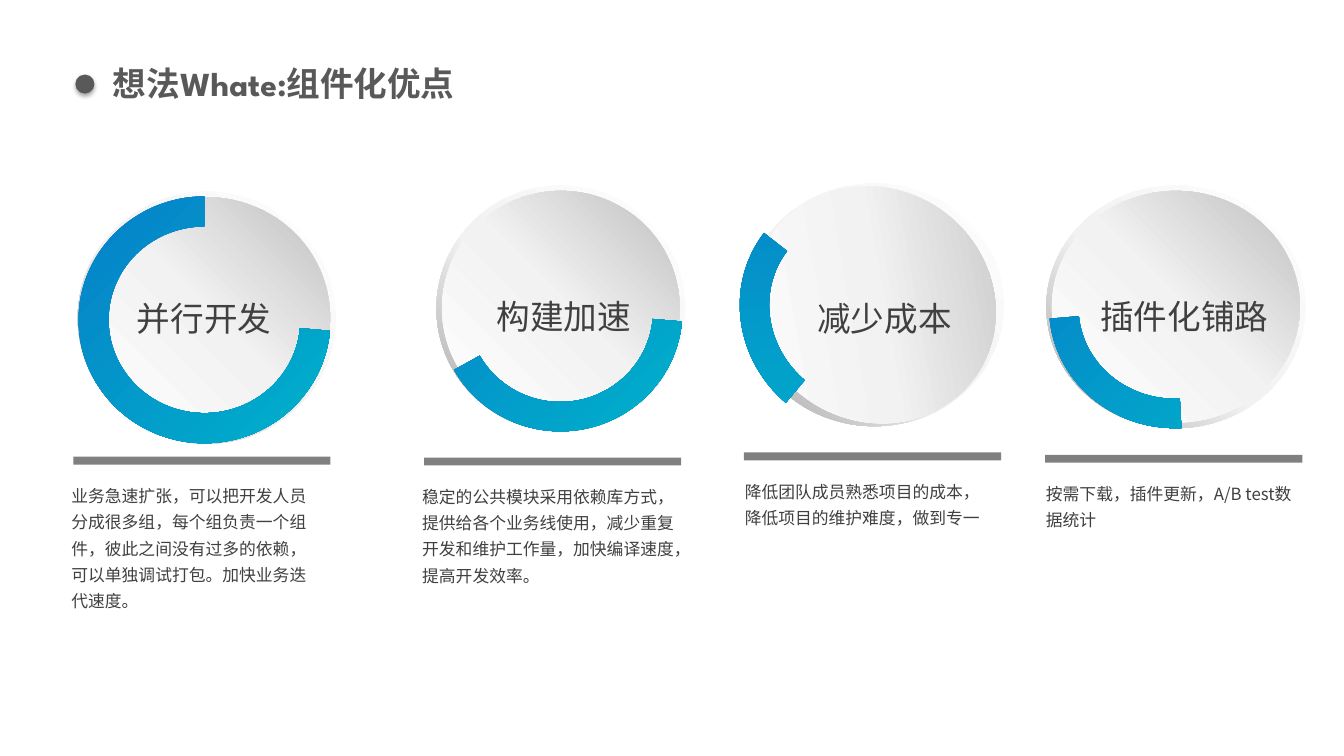
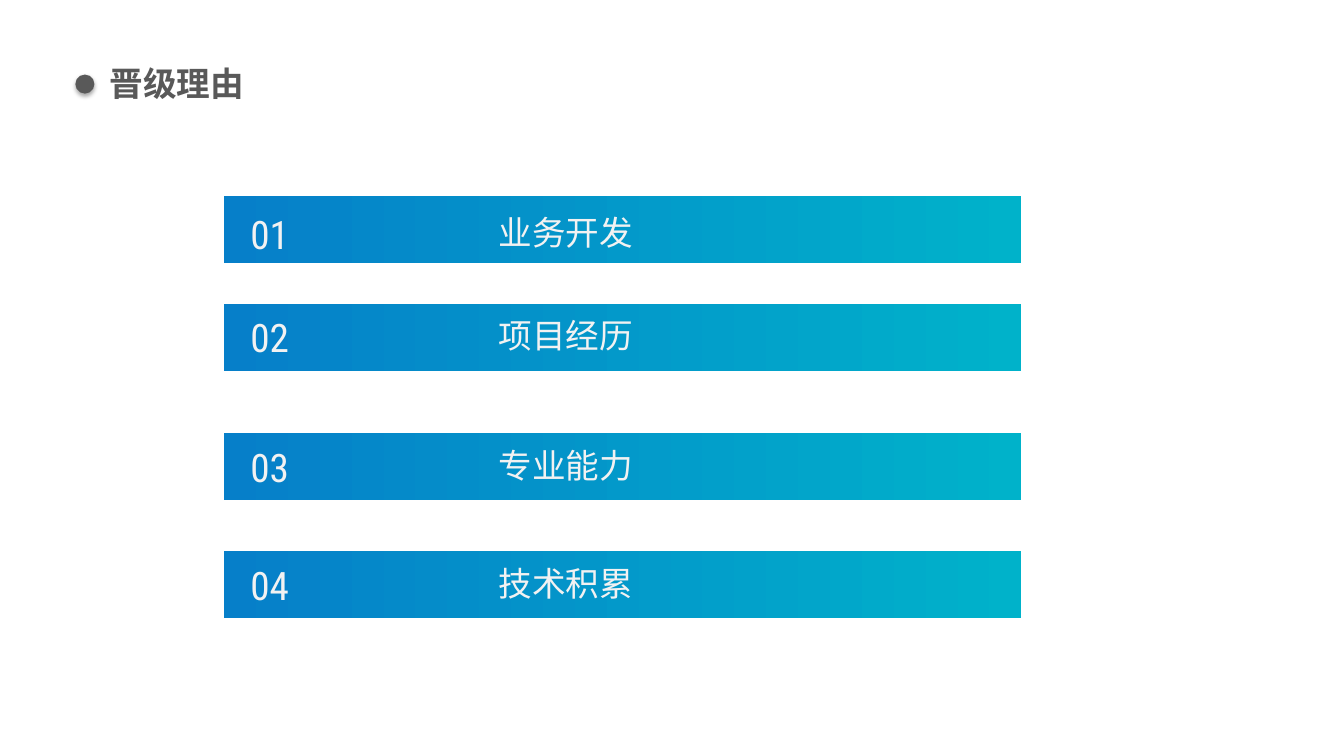
import copy

import pptx
import pptx.dml.color
import pptx.enum.shapes
import pptx.enum.text
import pptx.oxml
import pptx.oxml.ns
import pptx.util
from lxml import etree

Cm = pptx.util.Cm
Pt = pptx.util.Pt
PRESET = pptx.enum.shapes.MSO_SHAPE
ALIGN = pptx.enum.text.PP_ALIGN
qn = pptx.oxml.ns.qn

COLORS = {
    "title": "595959", "text": "404040", "light": "F2F2F2", "rule": "808080",
    "white": "FFFFFF", "silver": "BFBFBF", "gray": "A6A6A6",
    "blue": "067FC9", "teal": "00B2CA",
}
CJK = "Noto Sans CJK SC"
HEADLINE = "League Spartan"
NUMERALS = "Roboto Condensed"

ACCENT = [(0, "blue"), (1, "teal")]
RIM = [(0, "white"), (0.55, "light"), (1, "gray")]
DISC = [(0, "white"), (0.51, "light"), (1, "silver")]
RIM_WIDTH = 0.14

DOT_SHADOW = (
    '<a:effectLst xmlns:a="http://schemas.openxmlformats.org/drawingml/2006/main">'
    '<a:outerShdw blurRad="39370" dist="22860" dir="5400000" rotWithShape="0">'
    '<a:srgbClr val="000000"><a:alpha val="35000"/></a:srgbClr>'
    '</a:outerShdw></a:effectLst>'
)


def rgb(name):
    return pptx.dml.color.RGBColor.from_string(COLORS[name])


class Deck:
    def __init__(self):
        self.prs = pptx.Presentation()
        self.prs.slide_width, self.prs.slide_height = Cm(33.87), Cm(19.05)
        self.slide = None

    def new_slide(self, title, left, font=CJK):
        """Start a slide with its heading and the round marker before it."""
        self.slide = self.prs.slides.add_slide(self.prs.slide_layouts[5])
        heading = self.slide.shapes.title
        heading.left, heading.top = Cm(left), Cm(1.45)
        heading.width, heading.height = Cm(22.63), Cm(1.5)
        self.set_text(heading.text_frame, title, 24, "title", font, ALIGN.LEFT, bold=True)
        marker = self.shape(PRESET.OVAL, (1.9, 1.88, 0.48, 0.48), "title")
        old_effects = marker._element.spPr.find(qn("a:effectLst"))
        marker._element.spPr.replace(old_effects, pptx.oxml.parse_xml(DOT_SHADOW))

    def set_text(self, frame, text, size, color, font=CJK, align=None, spacing=None, bold=False):
        frame.text = text
        frame.word_wrap = True
        frame.auto_size = pptx.enum.text.MSO_AUTO_SIZE.NONE
        frame.vertical_anchor = pptx.enum.text.MSO_ANCHOR.TOP
        paragraph = frame.paragraphs[0]
        paragraph.alignment = align
        paragraph.line_spacing = spacing
        run = paragraph.runs[0]
        run.font.size, run.font.bold, run.font.name = Pt(size), bold, font
        run.font.color.rgb = rgb(color)
        etree.SubElement(run._r.get_or_add_rPr(), qn("a:ea"), typeface=CJK)

    def text(self, box, text, size, color, **style):
        area = self.slide.shapes.add_textbox(*map(Cm, box))
        self.set_text(area.text_frame, text, size, color, **style)

    def shape(self, preset, box, fill, angle=0, adjustments=(), rotation=0):
        """Add a borderless shape; fill is a colour name or a list of gradient stops."""
        shape = self.slide.shapes.add_shape(preset, *map(Cm, box))
        shape.shadow.inherit = False
        shape.line.fill.background()
        shape.rotation = rotation
        for index, value in enumerate(adjustments):
            shape.adjustments[index] = value
        if isinstance(fill, str):
            shape.fill.solid()
            shape.fill.fore_color.rgb = rgb(fill)
        else:
            self.gradient(shape, fill, angle)
        return shape

    def gradient(self, shape, stops, angle):
        """Fill with colour stops; angle runs clockwise from the left-to-right direction."""
        shape.fill.gradient()
        shape.fill.gradient_angle = (360 - angle) % 360
        stop_list = shape._element.spPr.find(qn("a:gradFill")).find(qn("a:gsLst"))
        while len(stop_list) < len(stops):
            stop_list.append(copy.deepcopy(stop_list[0]))
        for stop, (position, color) in zip(shape.fill.gradient_stops, stops):
            stop.position = position
            stop.color.rgb = rgb(color)

    def dial(self, box, tilt=0):
        left, top, width, height = box
        self.shape(PRESET.DONUT, box, RIM, 135, [0.049])
        disc = (left + RIM_WIDTH, top + RIM_WIDTH,
                width - 2 * RIM_WIDTH, height - 2 * RIM_WIDTH)
        self.shape(PRESET.OVAL, disc, DISC, 315, rotation=tilt)

    def arc(self, box, start, end, rotation=0):
        """Add a ring segment running clockwise from start to end degrees."""
        # python-pptx scales adjustments by 100000, angles are in 1/60000 degree
        self.shape(PRESET.BLOCK_ARC, box, ACCENT, 45,
                   [start * 0.6, end * 0.6, 0.122], rotation)


ADVANTAGES = [
    dict(name="并行开发", label=(3.2, 7.39, 4.04), dial=(1.96, 4.83, 6.5, 6.35),
         arc=((1.98, 4.95, 6.35, 6.22), 5, 270), rule=(1.85, 11.51), body=(1.55, 6.68),
         detail="业务急速扩张，可以把开发人员分成很多组，每个组负责一个组件，"
                "彼此之间没有过多的依赖，可以单独调试打包。加快业务迭代速度。"),
    dict(name="构建加速", label=(12.27, 7.34, 4.09), dial=(11, 4.67, 6.27, 6.2),
         arc=((11.05, 4.8, 6.15, 6.07), 5, 151), rule=(10.69, 11.53), body=(10.39, 6.98),
         detail="稳定的公共模块采用依赖库方式，提供给各个业务线使用，"
                "减少重复开发和维护工作量，加快编译速度，提高开发效率。"),
    dict(name="减少成本", label=(20.35, 7.39, 4.09), dial=(18.77, 4.62, 6.53, 6.12), tilt=35,
         arc=((18.58, 4.79, 6.35, 6.07), 87, 175, 43), rule=(18.75, 11.4), body=(18.52, 6.78),
         detail="降低团队成员熟悉项目的成本，降低项目的维护难度，做到专一"),
    dict(name="插件化铺路", label=(27.48, 7.34, 4.93), dial=(26.37, 4.67, 6.53, 6.12),
         arc=((26.44, 4.72, 6.35, 6.07), 87, 175), rule=(26.34, 11.46), body=(26.11, 6.78),
         detail="按需下载，插件更新，A/B test数据统计"),
]

# reason, top of its band, top of its number
REASONS = [
    ("业务开发", 4.95, 5.18),
    ("项目经历", 7.67, 7.77),
    ("专业能力", 10.92, 11.05),
    ("技术积累", 13.89, 14.02),
]


def advantages_slide(deck):
    deck.new_slide("想法Whate:组件化优点", 2.59, HEADLINE)
    for item in ADVANTAGES:
        deck.dial(item["dial"], item.get("tilt", 0))
        deck.arc(*item["arc"])
        deck.text((*item["label"], 1.3), item["name"], 24, "text")
        rule_left, rule_top = item["rule"]
        deck.shape(PRESET.RECTANGLE, (rule_left, rule_top, 6.48, 0.2), "rule")
        body_left, body_width = item["body"]
        deck.text((body_left, rule_top + 0.46, body_width, 3.5),
                  item["detail"], 12, "text", spacing=1.3)


def reasons_slide(deck):
    deck.new_slide("晋级理由", 2.51)
    for number, (reason, band_top, number_top) in enumerate(REASONS, start=1):
        deck.shape(PRESET.RECTANGLE, (5.65, band_top, 20.09, 1.68), ACCENT)
        deck.text((5.65, number_top, 2.29, 1.45), f"{number:02}", 28, "light",
                  font=NUMERALS, align=ALIGN.CENTER)
        deck.text((12.32, number_top + 0.36, 16.18, 1), reason, 24, "light",
                  spacing=Pt(19.8))


def main():
    deck = Deck()
    advantages_slide(deck)
    reasons_slide(deck)
    deck.prs.save("out.pptx")


if __name__ == "__main__":
    main()
